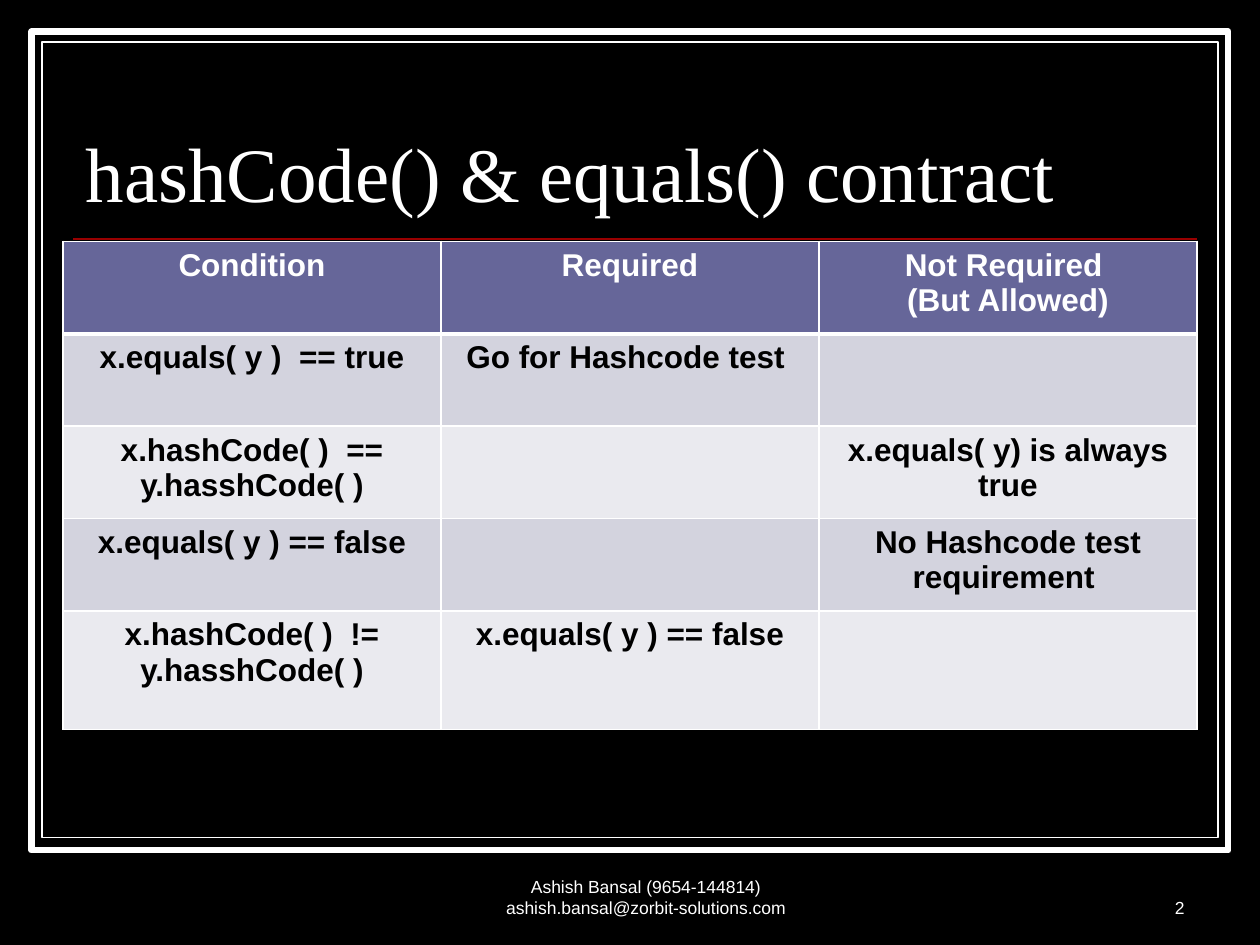
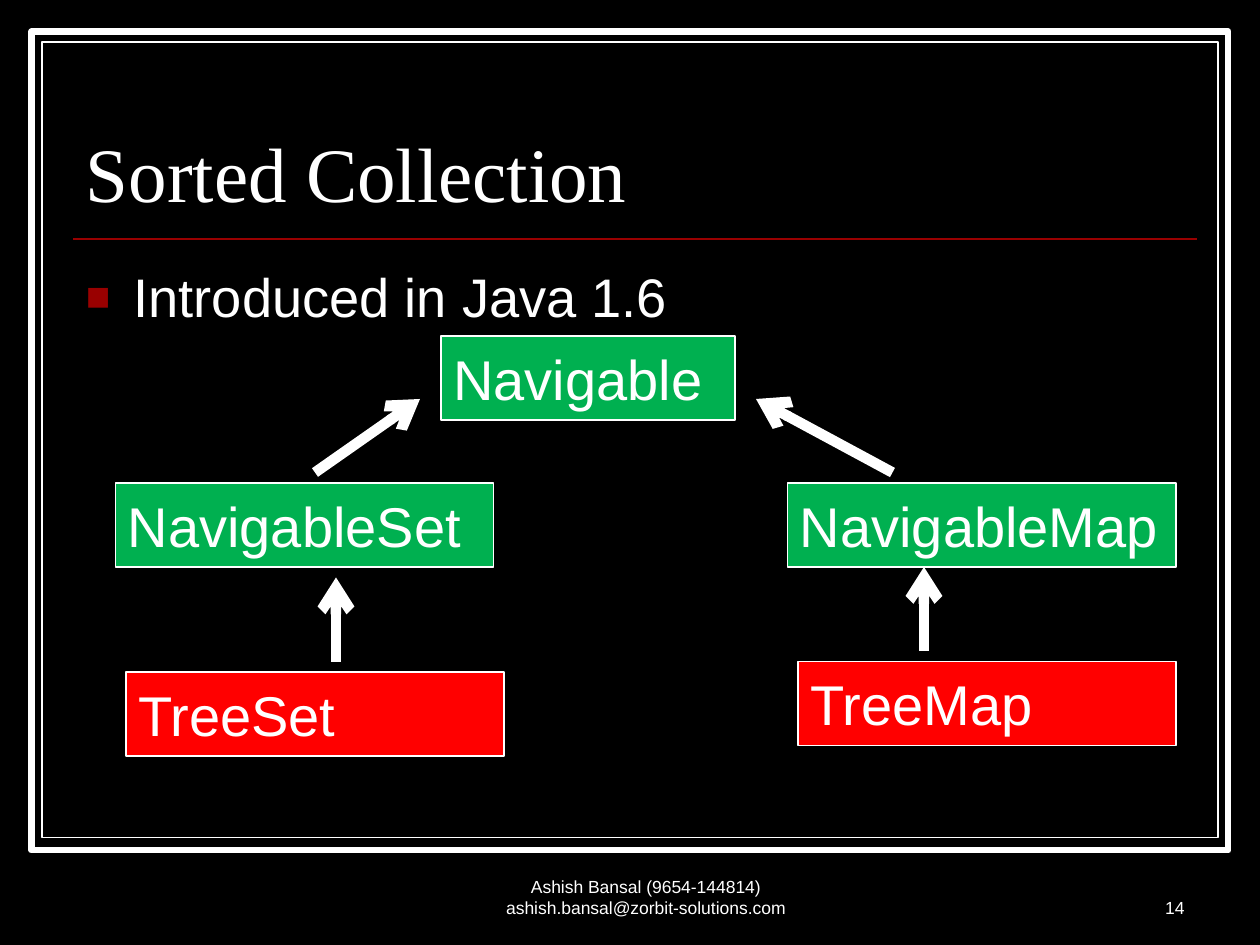
import collections
import lxml.etree
import pptx
import pptx.dml.color
import pptx.enum.shapes
import pptx.enum.text
import pptx.oxml.ns
import pptx.util

# Grid: 120 columns by 90 rows on a 10 by 7.5 inch slide
CELL = 1 / 12
BLACK, WHITE, RULE_RED = "000000", "FFFFFF", "990000"
GREEN, RED = "00B050", "FF0000"
HEADER, BAND_DARK, BAND_LIGHT = "666699", "D3D3DE", "EAEAEF"
BODY_FONT, TITLE_FONT = "Arial", "Times New Roman"
FOOTER = "Ashish Bansal (9654-144814) ashish.bansal@zorbit-solutions.com"

Align = pptx.enum.text.PP_ALIGN
Anchor = pptx.enum.text.MSO_ANCHOR
Box = collections.namedtuple("Box", "left top width height")

SLIDE_BOX = Box(0, 0, 120, 90)
TABLE_BOX = Box(6, 23, 108, 46.5)
BODY_BOX = Box(7, 24.5, 107, 9)
DIAGRAM_BOX = Box(11, 32, 101, 40)

CONTRACT = [
    ["Condition", "Required", "Not Required \n(But Allowed)"],
    ["x.equals( y )  == true", "Go for Hashcode test ", ""],
    ["x.hashCode( )  == y.hasshCode( )", "", "x.equals( y) is always true"],
    ["x.equals( y ) == false", "", "No Hashcode test requirement "],
    ["x.hashCode( )  != y.hasshCode( )", "x.equals( y ) == false", ""],
]


def grid(cells):
    return pptx.util.Inches(cells * CELL)


def color(value):
    return pptx.dml.color.RGBColor.from_string(value)


def inside(box, left, top, width, height):
    """Place a part by its offset from the corner of its box."""
    return Box(box.left + left, box.top + top, width, height)


def add_xml(parent, tag, **attributes):
    return lxml.etree.SubElement(parent, pptx.oxml.ns.qn(tag), **attributes)


def write(frame, text, size=18, font=BODY_FONT, ink=WHITE, bold=False,
          align=Align.LEFT, anchor=Anchor.TOP, spacing=None):
    frame.word_wrap = True
    frame.vertical_anchor = anchor
    paragraph = frame.paragraphs[0]
    paragraph.text = text
    paragraph.alignment = align
    paragraph.line_spacing = spacing
    for run in paragraph.runs:
        run.font.size = pptx.util.Pt(size)
        run.font.name = font
        run.font.bold = bold
        run.font.color.rgb = color(ink)
    return paragraph


def add_text(slide, box, text, **style):
    shape = slide.shapes.add_textbox(*map(grid, box))
    return write(shape.text_frame, text, **style)


def add_rectangle(slide, box, fill, line_width):
    shape = slide.shapes.add_shape(
        pptx.enum.shapes.MSO_SHAPE.RECTANGLE, *map(grid, box))
    shape.shadow.inherit = False
    shape.fill.solid()
    shape.fill.fore_color.rgb = color(fill)
    shape.line.color.rgb = color(WHITE)
    shape.line.width = pptx.util.Pt(line_width)
    return shape


def add_line(slide, start, end, ink, width, arrow=False):
    connector = slide.shapes.add_connector(
        pptx.enum.shapes.MSO_CONNECTOR.STRAIGHT, *map(grid, start + end))
    connector.line.color.rgb = color(ink)
    connector.line.width = pptx.util.Pt(width)
    if arrow:
        add_xml(connector.line._get_or_add_ln(), "a:tailEnd", type="arrow")
    add_xml(connector._element.spPr, "a:effectLst")


def add_page(presentation, title, number, box=SLIDE_BOX):
    slide = presentation.slides.add_slide(presentation.slide_layouts[6])
    slide.background.fill.solid()
    slide.background.fill.fore_color.rgb = color(BLACK)

    # Double frame and rule
    add_rectangle(slide, inside(box, 3, 3, 114, 78), BLACK, 3.5)
    add_rectangle(slide, inside(box, 4, 4, 112, 75.75), BLACK, 0.75)
    rule = inside(box, 7, 22.75, 107, 0)
    add_line(slide, (rule.left, rule.top), (rule.left + rule.width, rule.top),
             RULE_RED, 1)

    # Title and footers
    add_text(slide, inside(box, 7, 6.25, 107, 15), title, size=44,
             font=TITLE_FONT, anchor=Anchor.BOTTOM, spacing=0.8)
    add_text(slide, inside(box, 42.5, 82, 38, 6), FOOTER, size=10,
             align=Align.CENTER, anchor=Anchor.BOTTOM)
    add_text(slide, inside(box, 89, 82, 25, 6), str(number), size=10,
             align=Align.RIGHT, anchor=Anchor.BOTTOM)
    return slide


def add_borders(cell, top, bottom):
    properties = cell._tc.get_or_add_tcPr()
    for side, width in zip("LRTB", (1, 1, top, bottom)):
        line = add_xml(properties, f"a:ln{side}", w=str(pptx.util.Pt(width)))
        add_xml(add_xml(line, "a:solidFill"), "a:srgbClr", val=WHITE)


def add_contract_table(slide, box, rows):
    table = slide.shapes.add_table(
        len(rows), len(rows[0]), *map(grid, box)).table
    table.first_row = table.horz_banding = False
    for column in table.columns:
        column.width = grid(box.width / len(rows[0]))

    # Equal rows; the last one takes what is left
    row_height = 8.8
    for row in table.rows:
        row.height = grid(row_height)
    table.rows[len(rows) - 1].height = grid(
        box.height - row_height * (len(rows) - 1))

    for row_index, texts in enumerate(rows):
        header = row_index == 0
        band = BAND_DARK if row_index % 2 else BAND_LIGHT
        for column_index, text in enumerate(texts):
            cell = table.cell(row_index, column_index)
            add_borders(cell, top=3 if row_index == 1 else 1,
                        bottom=3 if header else 1)
            cell.fill.solid()
            cell.fill.fore_color.rgb = color(HEADER if header else band)
            write(cell.text_frame, text, bold=True, align=Align.CENTER,
                  ink=WHITE if header else BLACK)


def add_bullet(slide, box, text):
    paragraph = add_text(slide, box, text, size=31)
    properties = paragraph._p.get_or_add_pPr()
    indent = pptx.util.Inches(0.38)
    properties.set("marL", str(indent))
    properties.set("indent", str(-indent))
    add_xml(add_xml(properties, "a:buClr"), "a:srgbClr", val=RULE_RED)
    add_xml(properties, "a:buSzPct", val="75000")
    add_xml(properties, "a:buFont", typeface=BODY_FONT)
    add_xml(properties, "a:buChar", char="■")


def add_hierarchy(slide, box):
    # Types: name, left, top, width, fill
    types = [
        ("Navigable", 31, 0, 28, GREEN),
        ("NavigableSet", 0, 14, 36, GREEN),
        ("NavigableMap", 64, 14, 37, GREEN),
        ("TreeSet", 1, 32, 36, RED),
        ("TreeMap", 65, 31, 36, RED),
    ]
    for name, left, top, width, fill in types:
        shape = add_rectangle(
            slide, inside(box, left, top, width, 8), fill, 0.75)
        write(shape.text_frame, name, size=32, anchor=Anchor.MIDDLE)

    # Arrows from each type to its parent
    arrows = [
        ((19, 13), (29, 6)),
        ((74, 13), (61, 6)),
        ((21, 31), (21, 23)),
        ((77, 30), (77, 22)),
    ]
    for ends in arrows:
        start, end = [(box.left + x, box.top + y) for x, y in ends]
        add_line(slide, start, end, WHITE, 6, arrow=True)


def main():
    presentation = pptx.Presentation()
    presentation.slide_width = grid(SLIDE_BOX.width)
    presentation.slide_height = grid(SLIDE_BOX.height)

    contract = add_page(presentation, "hashCode() & equals() contract", 2)
    add_contract_table(contract, TABLE_BOX, CONTRACT)

    collection = add_page(presentation, "Sorted Collection", 14)
    add_bullet(collection, BODY_BOX, "Introduced in Java 1.6")
    add_hierarchy(collection, DIAGRAM_BOX)

    presentation.save("out.pptx")


if __name__ == "__main__":
    main()
